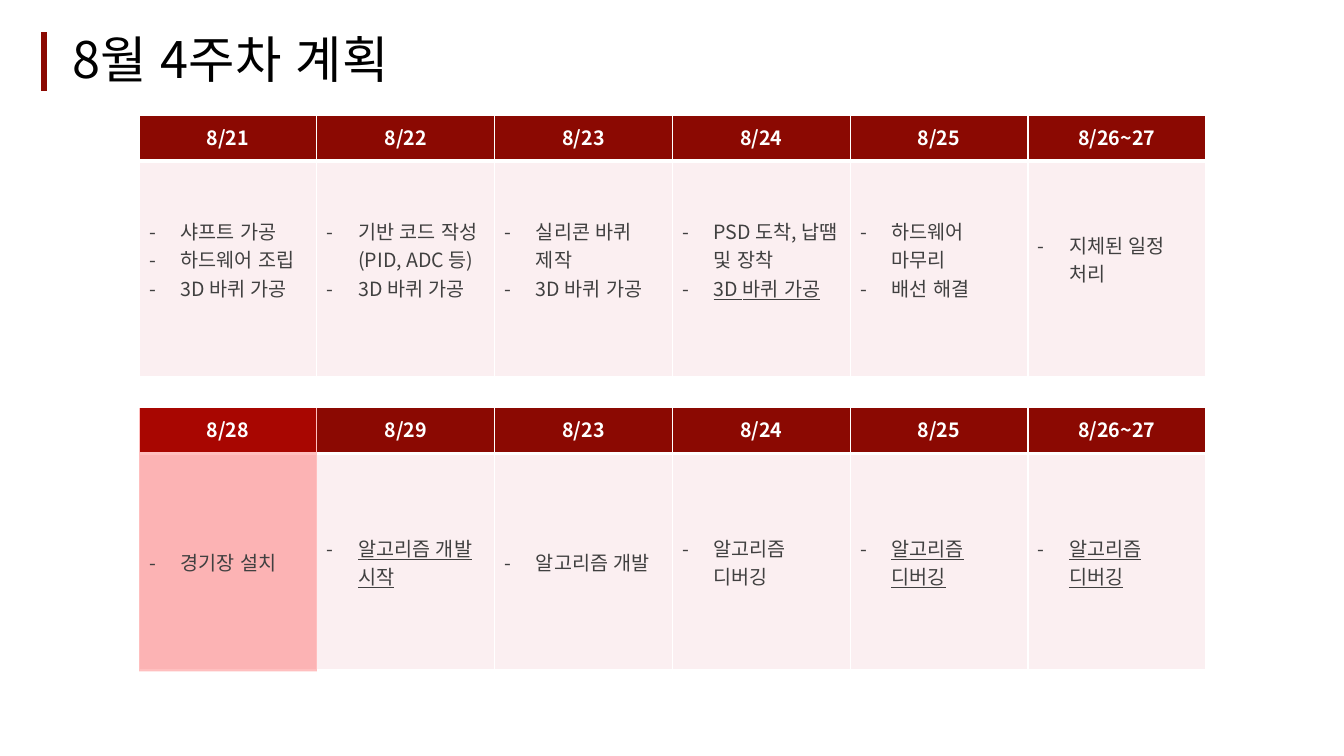
from lxml import etree
from pptx import Presentation
from pptx.dml.color import RGBColor
from pptx.enum.lang import MSO_LANGUAGE_ID
from pptx.enum.shapes import MSO_CONNECTOR, MSO_SHAPE
from pptx.enum.text import MSO_ANCHOR, PP_ALIGN
from pptx.oxml.ns import qn
from pptx.util import Inches, Pt

LINE, RECT = MSO_CONNECTOR.STRAIGHT, MSO_SHAPE.RECTANGLE
MIDDLE, CENTER = MSO_ANCHOR.MIDDLE, PP_ALIGN.CENTER
KOREAN = MSO_LANGUAGE_ID.KOREAN

TITLE = "8월 4주차 계획"
# Each day: date, then its tasks as (text, underlined)
WEEK_1 = [
    ("8/21", [("샤프트 가공", False), ("하드웨어 조립", False), ("3D 바퀴 가공", False)]),
    ("8/22", [("기반 코드 작성(PID, ADC 등)", False), ("3D 바퀴 가공", False)]),
    ("8/23", [("실리콘 바퀴 제작", False), ("3D 바퀴 가공", False)]),
    ("8/24", [("PSD 도착, 납땜 및 장착", False), ("3D 바퀴 가공", True)]),
    ("8/25", [("하드웨어 마무리", False), ("배선 해결", False)]),
    ("8/26~27", [("지체된 일정 처리", False)]),
]
WEEK_2 = [
    ("8/28", [("경기장 설치", False)]),
    ("8/29", [("알고리즘 개발 시작", True)]),
    ("8/23", [("알고리즘 개발", False)]),
    ("8/24", [("알고리즘 디버깅", False)]),
    ("8/25", [("알고리즘 디버깅", True)]),
    ("8/26~27", [("알고리즘 디버깅", True)]),
]
# Each week: days, top and row heights of the text; the first has a spare row
WEEKS = [(WEEK_1, 1.15, (0.41, 2.02, 2.02)), (WEEK_2, 4.03, (0.45, 2.19))]
GRID_TOPS, GRID_ROWS = (1.14, 4.04), (0.46, 2.14)
LEFT, WIDTH, DAYS = 1.38, 10.58, 6
DAY_W = WIDTH / DAYS
INDENT = 0.31

THEME = {
    "font": "Noto Sans CJK KR", "title": 36, "body": 14,
    "black": "000000", "white": "FFFFFF", "gray": "404040",
    "dark": "8B0902", "pale": "FBEFF1", "mark": "FF0000",
    "no_style": "{2D5ABB26-0587-4C30-8999-92F81FD0307C}",
}


def color(name):
    return RGBColor.from_string(THEME[name])


def add_run(para, text, size, tint, bold=False, under=False):
    run = para.add_run()
    run.text = text
    font = run.font
    font.name, font.size = THEME["font"], Pt(THEME[size])
    font.bold, font.underline = bold, under
    font.language_id = KOREAN
    font.color.rgb = color(tint)
    etree.SubElement(font._element, qn("a:ea"), typeface=THEME["font"])


def add_table(slide, top, heights):
    """Add a plain table with equal day columns."""
    frame = slide.shapes.add_table(len(heights), DAYS, Inches(LEFT), Inches(top),
                                   Inches(WIDTH), Inches(sum(heights)))
    table = frame.table
    table.first_row = table.horz_banding = False
    table._tbl.tblPr.find(qn("a:tableStyleId")).text = THEME["no_style"]
    for col in table.columns:
        col.width = Inches(DAY_W)
    for row, height in zip(table.rows, heights):
        row.height = Inches(height)
    return table


def make_edge(side, width):
    edge = etree.Element(qn("a:ln" + side), w=str(Pt(width)))
    fill = etree.SubElement(edge, qn("a:solidFill"))
    etree.SubElement(fill, qn("a:srgbClr"), val=THEME["white"])
    return edge


def add_grid(slide, top):
    """Add the coloured cells that lie behind a week's text."""
    table = add_table(slide, top, GRID_ROWS)
    for row, tint in enumerate(("dark", "pale")):
        widths = {"L": 1, "R": 1, "T": 1 if row == 0 else 3, "B": 3 if row == 0 else 1}
        for cell in table.rows[row].cells:
            cell.fill.solid()
            cell.fill.fore_color.rgb = color(tint)
            props = cell._tc.get_or_add_tcPr()
            for spot, (side, width) in enumerate(widths.items()):
                props.insert(spot, make_edge(side, width))


def add_tasks(cell, tasks):
    frame = cell.text_frame
    for spot, (text, under) in enumerate(tasks):
        para = frame.add_paragraph() if spot else frame.paragraphs[0]
        props = para._p.get_or_add_pPr()
        props.set("marL", str(Inches(INDENT)))
        props.set("indent", str(-Inches(INDENT)))
        etree.SubElement(props, qn("a:buFont"), typeface=THEME["font"])
        etree.SubElement(props, qn("a:buChar"), char="-")
        add_run(para, text, "body", "gray", under=under)


def add_week(slide, days, top, heights):
    table = add_table(slide, top, heights)
    for col, (date, tasks) in enumerate(days):
        head, body = table.cell(0, col), table.cell(1, col)
        head.vertical_anchor = body.vertical_anchor = MIDDLE
        para = head.text_frame.paragraphs[0]
        para.alignment = CENTER
        add_run(para, date, "body", "white", bold=True)
        add_tasks(body, tasks)


def add_bar(slide):
    bar = slide.shapes.add_connector(LINE, Inches(0.44), Inches(0.32), Inches(0.44), Inches(0.9))
    bar.line.color.rgb = color("dark")
    bar.line.width = Pt(4.5)
    etree.SubElement(bar._element.spPr, qn("a:effectLst"))


def add_mark(slide):
    """Tint the first day of the second week."""
    mark = slide.shapes.add_shape(RECT, Inches(LEFT), Inches(4.05), Inches(DAY_W), Inches(2.61))
    mark.shadow.inherit = False
    mark.line.fill.background()
    mark.fill.solid()
    mark.fill.fore_color.rgb = color("mark")
    tint = mark._element.spPr.find(qn("a:solidFill"))[0]
    etree.SubElement(tint, qn("a:alpha"), val="25000")


def add_title(slide):
    box = slide.shapes.add_textbox(Inches(0.62), Inches(0.25), Inches(10.25), Inches(0.73))
    frame = box.text_frame
    frame.word_wrap = True
    frame.vertical_anchor = MIDDLE
    para = frame.paragraphs[0]
    para.line_spacing = 0.9
    add_run(para, TITLE, "title", "black")


def main():
    deck = Presentation()
    deck.slide_width, deck.slide_height = Inches(13.33), Inches(7.5)
    slide = deck.slides.add_slide(deck.slide_layouts[6])
    add_bar(slide)
    for top in GRID_TOPS:
        add_grid(slide, top)
    add_mark(slide)
    add_title(slide)
    for days, top, heights in WEEKS:
        add_week(slide, days, top, heights)
    deck.save("out.pptx")


if __name__ == "__main__":
    main()
